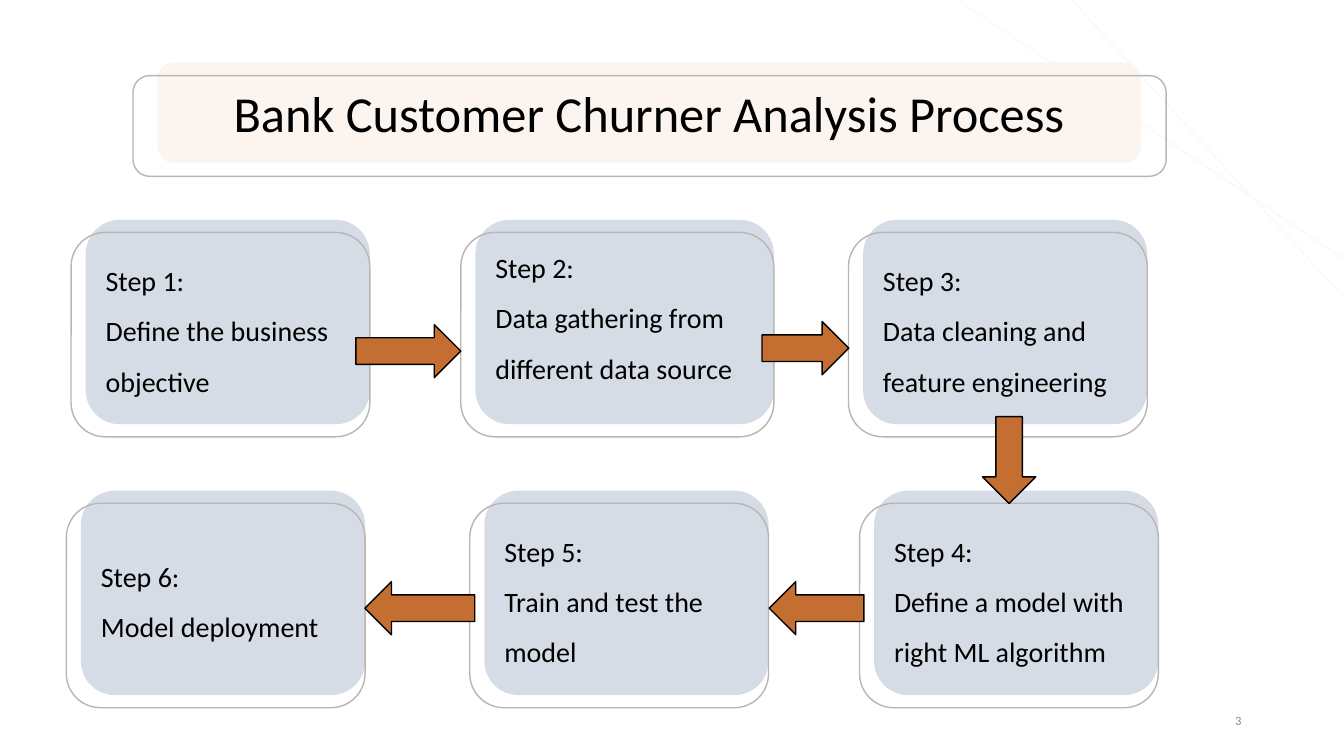
from pptx import Presentation
from pptx.dml.color import RGBColor
from pptx.enum.shapes import MSO_CONNECTOR, MSO_SHAPE
from pptx.enum.text import MSO_ANCHOR, MSO_AUTO_SIZE, PP_ALIGN
from pptx.oxml.ns import qn
from pptx.util import Pt
from lxml.etree import SubElement

COLORS = {
    "cream": "FBF4EF", "mist": "D6DCE5", "outline": "BAB5B1",
    "arrow": "C46E31", "ink": "000000", "number": "8C8C8C",
}
BOX_HEIGHT = 146
FRAME_LEFT, FRAME_DROP = 10.4, 9
ARROW_HEIGHT = 38


def add_block(kind, box, fill=None, line=None):
    """Add a shape without shadow; a missing fill or line stays empty."""
    block = slide.shapes.add_shape(kind, *map(Pt, box))
    block.shadow.inherit = False
    if fill:
        block.fill.solid()
        block.fill.fore_color.rgb = RGBColor.from_string(COLORS[fill])
    else:
        block.fill.background()
    if line:
        block.line.color.rgb = RGBColor.from_string(COLORS[line])
        block.line.width = Pt(1)
    else:
        block.line.fill.background()
    return block


def format_text(frame, size, color, **paragraph_format):
    frame.word_wrap = True
    frame.auto_size = MSO_AUTO_SIZE.NONE
    frame.vertical_anchor = MSO_ANCHOR.MIDDLE
    for paragraph in frame.paragraphs:
        for key, value in paragraph_format.items():
            setattr(paragraph, key, value)
        font = paragraph.runs[0].font
        font.name, font.size = "Calibri", Pt(size)
        font.color.rgb = RGBColor.from_string(COLORS[color])


deck = Presentation()
deck.slide_width, deck.slide_height = Pt(960), Pt(540)
slide = deck.slides.add_slide(deck.slide_layouts[5])

# Background rays
for start_x, end_y in [(684, 185), (765.5, 212.5)]:
    ray = slide.shapes.add_connector(
        MSO_CONNECTOR.STRAIGHT, Pt(start_x), Pt(0), Pt(960), Pt(end_y))
    ray.line.color.rgb = RGBColor.from_string(COLORS["cream"])
    ray.line.width = Pt(0.5)
    SubElement(ray.element.spPr, qn("a:effectLst"))

page_number = slide.shapes.add_textbox(Pt(678), Pt(500.5), Pt(216), Pt(28.75))
page_number.text_frame.text = "3"
format_text(page_number.text_frame, 9, "number", alignment=PP_ALIGN.RIGHT)

# Title on its banner
banner = (112.5, 44.5, 702.5, 72)
add_block(MSO_SHAPE.ROUNDED_RECTANGLE, banner, fill="cream")
add_block(MSO_SHAPE.ROUNDED_RECTANGLE, (95, 54, 738, 72), line="outline")
title = slide.shapes.title
title.left, title.top, title.width, title.height = map(Pt, banner)
title.text_frame.text = "Bank Customer Churner Analysis Process"
format_text(title.text_frame, 36, "ink", alignment=PP_ALIGN.CENTER)
title.element.getparent().append(title.element)  # bring in front of the banner

# Steps: left, top, width, bottom inset, wording
steps = [
    (61.2, 157, 203, 3.6, "Define the business objective"),
    (339.6, 157, 213.2, 22, "Data gathering from different data source"),
    (616.5, 157, 203, 3.6, "Data cleaning and feature engineering"),
    (624.4, 350.5, 203, 3.6, "Define a model with right ML algorithm"),
    (346, 350.5, 203, 3.6, "Train and test the model"),
    (57.8, 350.5, 203, 3.6, "Model deployment"),
]
for number, (left, top, width, bottom_inset, wording) in enumerate(steps, 1):
    step = add_block(MSO_SHAPE.ROUNDED_RECTANGLE,
                     (left, top, width, BOX_HEIGHT), fill="mist")
    step.text_frame.text = f"Step {number}:\n{wording}"
    step.text_frame.margin_bottom = Pt(bottom_inset)
    format_text(step.text_frame, 20, "ink",
                alignment=PP_ALIGN.LEFT, line_spacing=1.5)
    add_block(MSO_SHAPE.ROUNDED_RECTANGLE,
              (left - FRAME_LEFT, top + FRAME_DROP,
               width + FRAME_LEFT, BOX_HEIGHT), line="outline")

# Arrows: left, top, length, rotation
arrows = [
    (254.2, 231.8, 75, 0),
    (544.3, 229.7, 62, 0),
    (689.8, 309.6, 62, 90),
    (549.4, 415.4, 67.7, 180),
    (260.6, 415.4, 78.5, 180),
]
for left, top, length, rotation in arrows:
    arrow = add_block(MSO_SHAPE.RIGHT_ARROW, (left, top, length, ARROW_HEIGHT),
                      fill="arrow", line="ink")
    arrow.rotation = rotation

deck.save("out.pptx")
